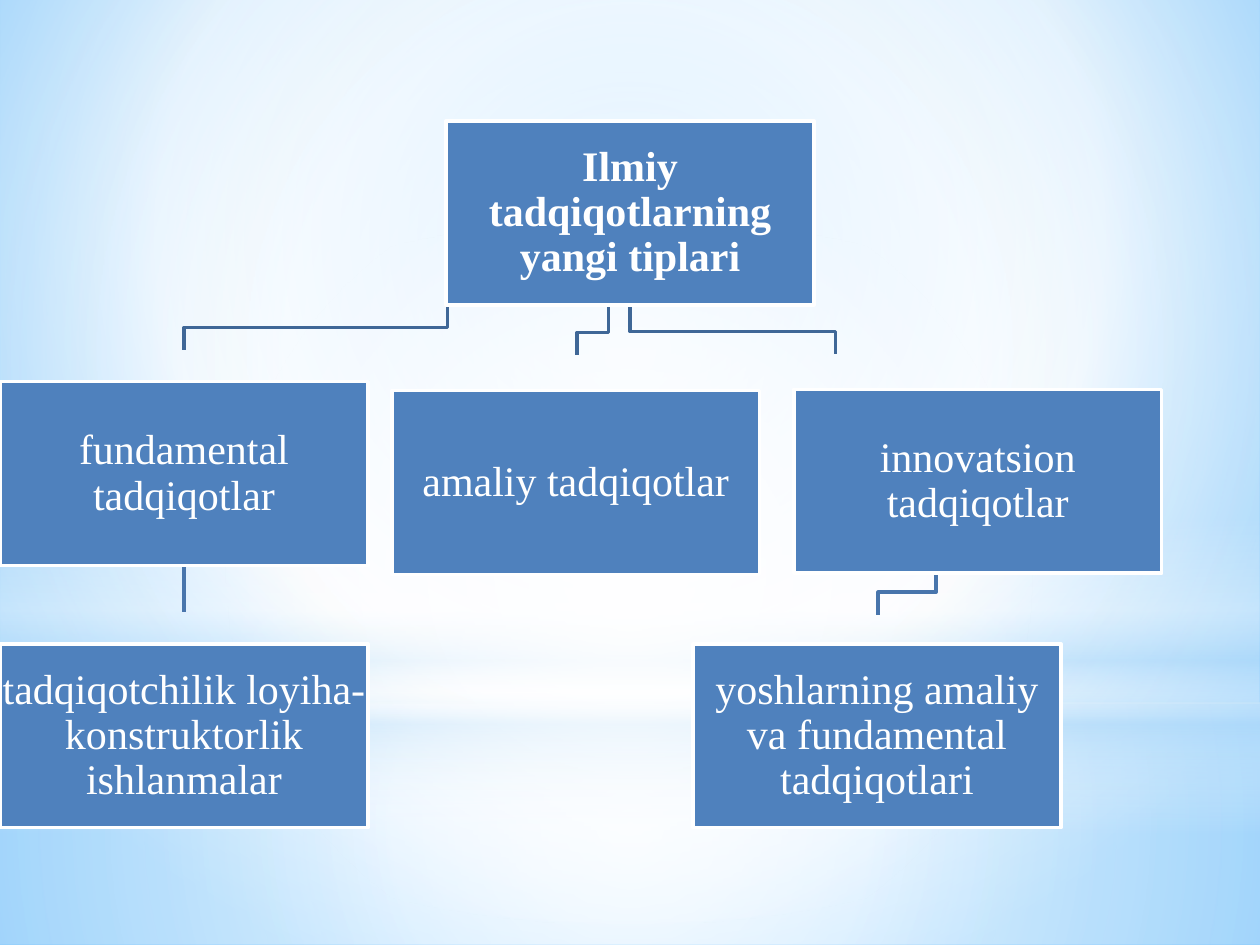
from lxml import etree
from pptx import Presentation
from pptx.dml.color import RGBColor
from pptx.enum.shapes import MSO_CONNECTOR as Connector, MSO_SHAPE as Shape
from pptx.enum.text import MSO_ANCHOR as Anchor, PP_ALIGN as Align
from pptx.oxml.ns import qn
from pptx.util import Inches, Pt

WHITE = RGBColor(0xFF, 0xFF, 0xFF)
BOX_BLUE = RGBColor(0x4F, 0x81, 0xBD)
UPPER_LINE = RGBColor(0x3F, 0x67, 0x97)
LOWER_LINE = RGBColor(0x48, 0x75, 0xAC)
PALE_BLUE = RGBColor(0xB4, 0xDC, 0xFA)
SKY_BLUE = RGBColor(0x9E, 0xD5, 0xFF)
DEEP_BLUE = RGBColor(0x5B, 0xB9, 0xFF)

FONT = "Times New Roman"
BOX_WIDTH, BOX_HEIGHT = 2.92, 1.46
CENTRE = (50, 50, 50, 50)

GLOWS = [
    (Shape.RECTANGLE, (0, 5.58, 10, 1.92), CENTRE,
     [(0, WHITE, 91), (37, WHITE, 76), (100, PALE_BLUE, 79)]),
    (Shape.RECTANGLE, (0, 0, 10, 5.58), CENTRE,
     [(0, WHITE, 89), (48, WHITE, 62), (100, PALE_BLUE, 79)]),
    (Shape.RECTANGLE, (0, 4.12, 10, 2.5), None,
     [(0, WHITE, 0), (29, WHITE, 30), (45, PALE_BLUE, 40),
      (55, WHITE, 26), (65, PALE_BLUE, 60), (100, WHITE, 0)]),
    (Shape.OVAL, (0, 1.75, 10, 5.58), CENTRE,
     [(0, WHITE, 100), (56, WHITE, 0)]),
]

LINKS = [
    ((7.43, 4.55), 4.7, (6.97, 4.88), LOWER_LINE),
    ((5, 2.42), 2.63, (6.63, 2.81), UPPER_LINE),
    ((4.83, 2.42), 2.64, (4.58, 2.82), UPPER_LINE),
    ((1.46, 4.49), None, (1.46, 4.86), LOWER_LINE),
    ((3.55, 2.42), 2.6, (1.46, 2.78), UPPER_LINE),
]

BOXES = [
    (3.54, 0.96, "Ilmiy tadqiqotlarning yangi tiplari", True),
    (0, 3.03, "fundamental tadqiqotlar", False),
    (0, 5.11, "tadqiqotchilik loyiha-konstruktorlik ishlanmalar", False),
    (3.11, 3.1, "amaliy tadqiqotlar", False),
    (6.3, 3.09, "innovatsion tadqiqotlar", False),
    (5.5, 5.11, "yoshlarning amaliy va fundamental tadqiqotlari", False),
]


def set_gradient(element, stops, focus):
    solid = element.find(".//" + qn("a:solidFill"))
    gradient = etree.Element(qn("a:gradFill"), rotWithShape="1")
    stop_list = etree.SubElement(gradient, qn("a:gsLst"))
    for position, color, opacity in stops:
        stop = etree.SubElement(stop_list, qn("a:gs"), pos=str(position * 1000))
        value = etree.SubElement(stop, qn("a:srgbClr"), val=str(color))
        if opacity < 100:
            etree.SubElement(value, qn("a:alpha"), val=str(opacity * 1000))
    if focus:
        circle = etree.SubElement(gradient, qn("a:path"), {"path": "circle"})
        sides = {side: str(share * 1000) for side, share in zip("ltrb", focus)}
        etree.SubElement(circle, qn("a:fillToRect"), sides)
    else:
        etree.SubElement(gradient, qn("a:lin"), ang="5400000", scaled="0")
    solid.getparent().replace(solid, gradient)


def add_backdrop(slide):
    slide.background.fill.solid()
    slide.background.fill.fore_color.rgb = WHITE
    set_gradient(slide.element,
                 [(0, SKY_BLUE, 100), (60, WHITE, 100), (100, DEEP_BLUE, 100)],
                 (20, 10, 20, 60))
    for kind, box, focus, stops in GLOWS:
        shape = slide.shapes.add_shape(kind, *map(Inches, box))
        shape.shadow.inherit = False
        shape.line.fill.background()
        shape.fill.solid()
        set_gradient(shape.element, stops, focus)


def add_link(slide, start, turn, end, color):
    start_x, start_y = map(Inches, start)
    end_x, end_y = map(Inches, end)
    if turn is None:
        link = slide.shapes.add_connector(
            Connector.STRAIGHT, start_x, start_y, end_x, end_y)
        etree.SubElement(link.element.spPr, qn("a:effectLst"))
    else:
        builder = slide.shapes.build_freeform(start_x, start_y)
        turn_y = Inches(turn)
        builder.add_line_segments(
            [(start_x, turn_y), (end_x, turn_y), (end_x, end_y)], close=False)
        link = builder.convert_to_shape()
        link.shadow.inherit = False
        link.fill.background()
    link.line.color.rgb = color
    link.line.width = Pt(2)


def add_box(slide, left, top, text, bold):
    shape = slide.shapes.add_shape(
        Shape.RECTANGLE, *map(Inches, (left, top, BOX_WIDTH, BOX_HEIGHT)))
    shape.shadow.inherit = False
    shape.fill.solid()
    shape.fill.fore_color.rgb = BOX_BLUE
    shape.line.color.rgb = WHITE
    shape.line.width = Pt(2)
    text_frame = shape.text_frame
    text_frame.text = text
    text_frame.word_wrap = True
    text_frame.vertical_anchor = Anchor.MIDDLE
    text_frame.margin_left = text_frame.margin_right = Inches(0.02)
    text_frame.margin_top = text_frame.margin_bottom = Inches(0.02)
    paragraph = text_frame.paragraphs[0]
    paragraph.alignment = Align.CENTER
    paragraph.line_spacing = 0.9
    font = paragraph.runs[0].font
    font.name = FONT
    font.size = Pt(24)
    font.bold = bold
    font.color.rgb = WHITE


def main():
    presentation = Presentation()
    presentation.slide_width = Inches(10)
    presentation.slide_height = Inches(7.5)
    slide = presentation.slides.add_slide(presentation.slide_layouts[6])
    add_backdrop(slide)
    for link in LINKS:
        add_link(slide, *link)
    for box in BOXES:
        add_box(slide, *box)
    presentation.save("out.pptx")


if __name__ == "__main__":
    main()
